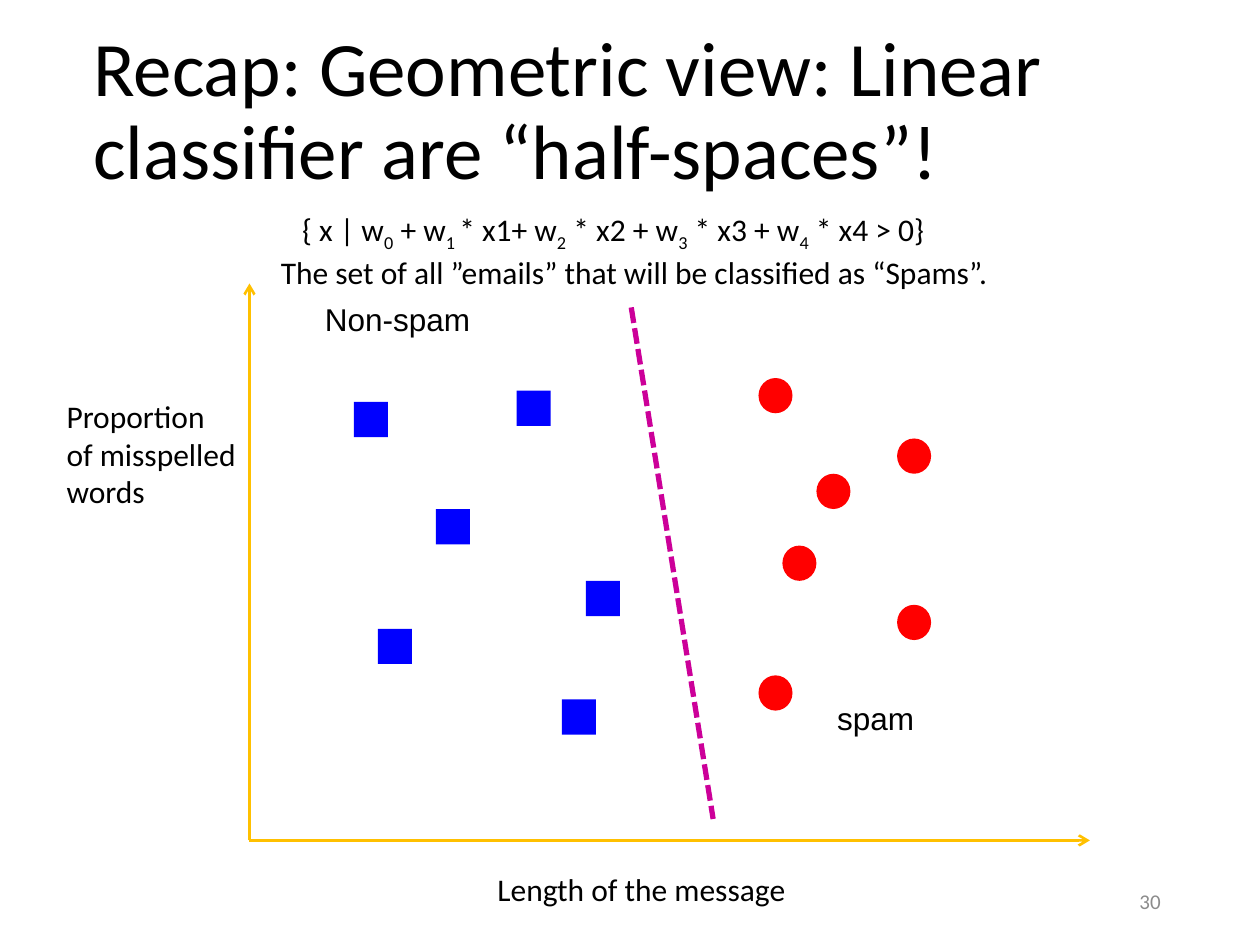
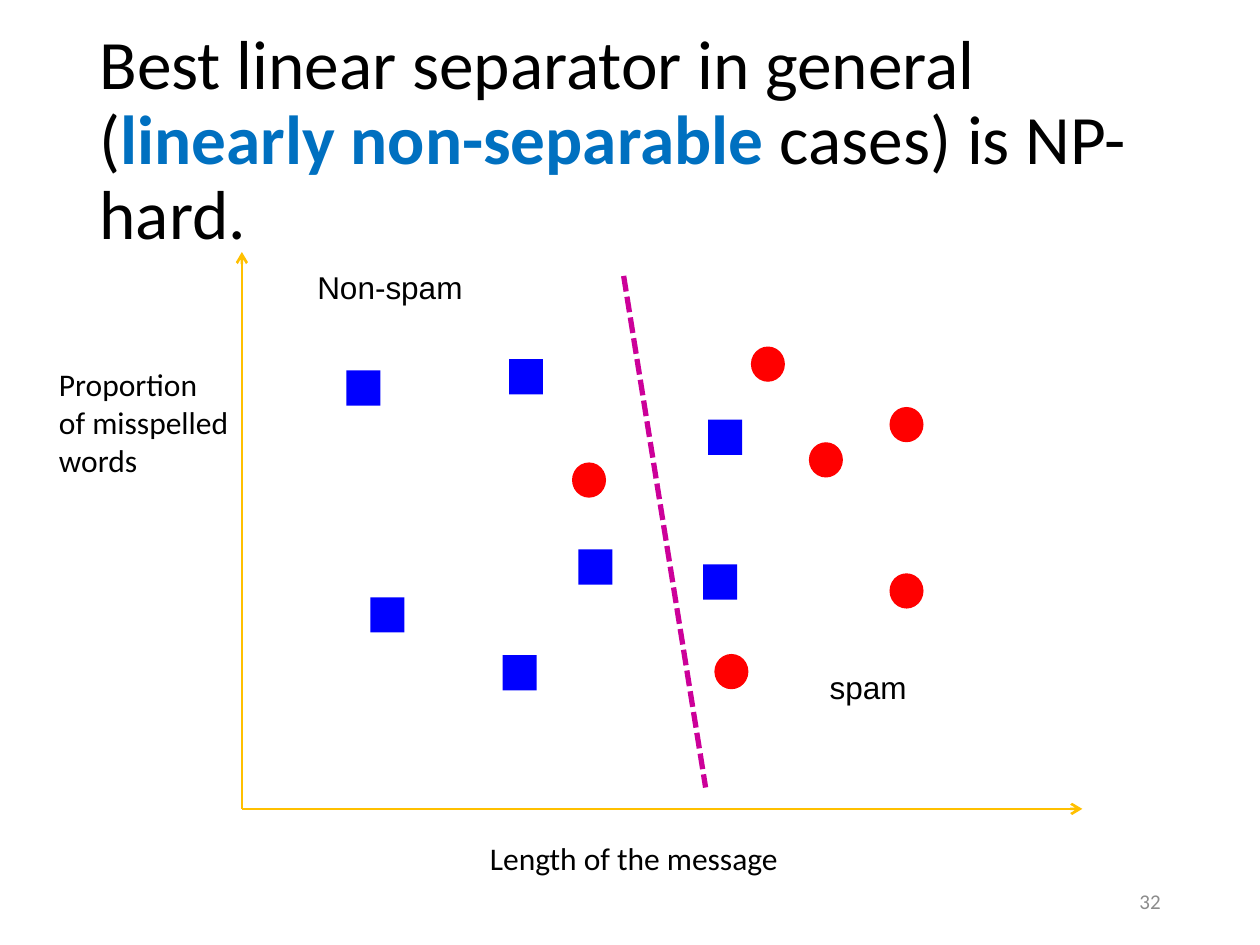
"""Build two slides on linear separators for spam classification."""
from dataclasses import dataclass

from lxml.etree import SubElement
from pptx import Presentation
from pptx.dml.color import RGBColor
from pptx.enum.dml import MSO_LINE
from pptx.enum.shapes import MSO_CONNECTOR, MSO_SHAPE
from pptx.enum.text import MSO_ANCHOR, MSO_AUTO_SIZE, PP_ALIGN
from pptx.oxml.ns import qn
from pptx.util import Inches, Pt


@dataclass(frozen=True)
class Theme:
    text: str = "000000"
    accent: str = "0070C0"
    muted: str = "8C8C8C"
    axis: str = "FFC000"
    separator: str = "CC0099"
    non_spam: str = "0000FF"
    spam: str = "FF0000"
    body_font: str = "Calibri"
    class_font: str = "Arial"
    body_size: float = 18
    number_size: float = 12
    axis_width: float = 1.5
    separator_width: float = 3


SHARED_SQUARES = [(0.83, 3.48), (2.12, 3.57), (1.02, 1.68), (2.67, 2.06)]
SHARED_CIRCLES = [(5.14, 3.19), (5.14, 1.87), (4.04, 3.67), (4.5, 2.91)]


class Deck:
    def __init__(self, prs, theme):
        self.prs = prs
        self.theme = theme
        self.s = None

    def style(self, r, size=None, color=None, font=None, bold=False):
        r.font.name = font or self.theme.body_font
        r.font.size = Pt(size or self.theme.body_size)
        r.font.bold = bold
        r.font.color.rgb = RGBColor.from_string(color or self.theme.text)

    def slide(self, parts, box, size, number):
        self.s = self.prs.slides.add_slide(self.prs.slide_layouts[5])
        sp = self.s.shapes.title
        sp.left, sp.top, sp.width, sp.height = map(Inches, box)
        tf = sp.text_frame
        tf.word_wrap = True
        tf.auto_size = MSO_AUTO_SIZE.NONE
        tf.vertical_anchor = MSO_ANCHOR.MIDDLE
        p = tf.paragraphs[0]
        p.alignment = PP_ALIGN.LEFT
        p.line_spacing = 0.9
        for text, emphasis in parts:
            r = p.add_run()
            r.text = text
            self.style(r, size, self.theme.accent if emphasis else None, bold=emphasis)
        tf = self.text(number, (7.06, 6.95, 2.25, 0.4), PP_ALIGN.RIGHT, wrap=True,
                       size=self.theme.number_size, color=self.theme.muted)
        tf.vertical_anchor = MSO_ANCHOR.MIDDLE

    def text(self, text, box, align=PP_ALIGN.LEFT, wrap=False, **style):
        tf = self.s.shapes.add_textbox(*map(Inches, box)).text_frame
        tf.word_wrap = wrap
        tf.text = text
        for p in tf.paragraphs:
            p.alignment = align
            for r in p.runs:
                self.style(r, **style)
        return tf

    def formula(self, parts, caption, box):
        tf = self.text("", box)
        p = tf.paragraphs[0]
        p._p.get_or_add_pPr().set("marL", str(Inches(0.17)))
        for i, part in enumerate(parts):
            r = p.add_run()
            r.text = part
            self.style(r)
            if i % 2:
                r._r.get_or_add_rPr().set("baseline", "-25000")
        p = tf.add_paragraph()
        p.text = caption
        self.style(p.runs[0])

    def line(self, start, end, color, width, dash=None, arrow=False):
        c = self.s.shapes.add_connector(MSO_CONNECTOR.STRAIGHT, *map(Inches, start + end))
        c.line.color.rgb = RGBColor.from_string(color)
        c.line.width = Pt(width)
        if dash:
            c.line.dash_style = dash
        if arrow:
            SubElement(c.line._get_or_add_ln(), qn("a:tailEnd"), type="arrow")
        SubElement(c._element.spPr, qn("a:effectLst"))

    def marks(self, kind, color, origin, points):
        x, y = origin
        for right, up in points:
            sp = self.s.shapes.add_shape(kind, Inches(x + right), Inches(y - up),
                                         Inches(0.27), Inches(0.28))
            sp.shadow.inherit = False
            sp.fill.solid()
            sp.fill.fore_color.rgb = RGBColor.from_string(color)
            sp.line.fill.background()

    def scatter(self, origin, squares, circles):
        t = self.theme
        x, y = origin
        self.marks(MSO_SHAPE.RECTANGLE, t.non_spam, origin, SHARED_SQUARES + squares)
        self.marks(MSO_SHAPE.OVAL, t.spam, origin, SHARED_CIRCLES + circles)
        self.line((x + 3.03, y - 4.23), (x + 3.68, y - 0.17), t.separator,
                  t.separator_width, dash=MSO_LINE.SQUARE_DOT)
        for end in ((x + 6.67, y), (x, y - 4.42)):
            self.line(origin, end, t.axis, t.axis_width, arrow=True)
        for name, right, up, width in (("spam", 4.56, 1.17, 0.82),
                                       ("Non-spam", 0.49, 4.34, 1.37)):
            self.text(name, (x + right, y - up, width, 0.4), PP_ALIGN.CENTER,
                      font=t.class_font)
        self.text("Length of the message", (x + 1.87, y + 0.19, 2.77, 0.4))
        self.text("Proportion\nof misspelled\nwords", (x - 1.55, y - 3.57, 1.6, 1.31),
                  wrap=True)


def main():
    prs = Presentation()
    prs.slide_width, prs.slide_height = Inches(10), Inches(7.5)
    deck = Deck(prs, Theme())

    deck.slide([("Recap: Geometric view: Linear classifier are “half-spaces”!", False)],
               (0.64, 0.17, 8.62, 1.45), 44, "30")
    deck.scatter((1.98, 6.67), [(1.48, 2.63), (2.48, 1.12)], [(4.23, 2.34), (4.04, 1.31)])
    deck.formula(["{ x | w", "0", " + w", "1 ", "* x1+ w", "2", " * x2 + w", "3",
                  " * x3 + w", "4", " * x4 > 0}"],
                 "The set of all ”emails” that will be classified as “Spams”.",
                 (2.13, 1.62, 6.41, 0.71))

    deck.slide([("Best linear separator in general (", False),
                ("linearly non-separable", True), (" cases) is NP-hard.", False)],
               (0.69, 0.4, 8.62, 1.45), 39.6, "32")
    deck.scatter((1.92, 6.42), [(3.7, 3.09), (3.66, 1.94), (2.07, 1.22)],
                 [(2.62, 2.75), (3.75, 1.23)])

    prs.save("out.pptx")


if __name__ == "__main__":
    main()
